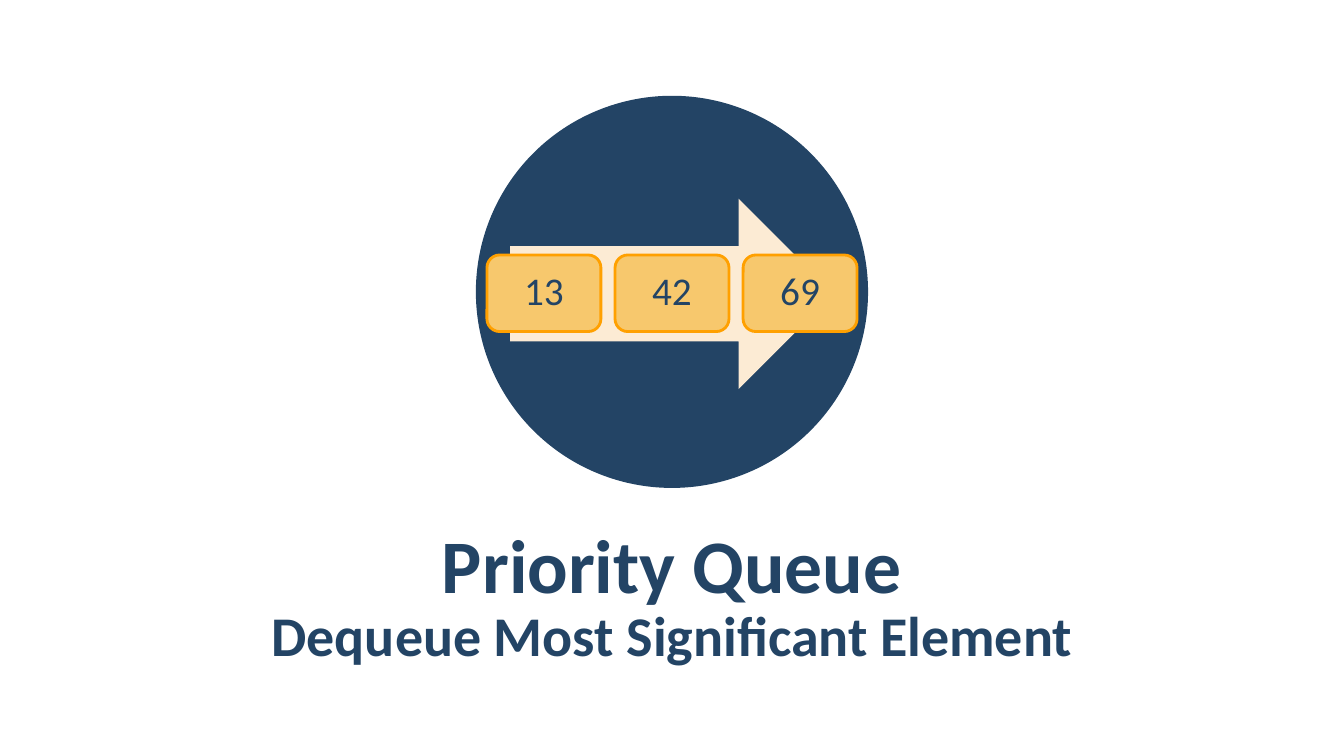
import pptx
import pptx.util
import pptx.dml.color
import pptx.enum.shapes
import pptx.enum.text

NAVY = pptx.dml.color.RGBColor(0x23, 0x44, 0x65)
CREAM = pptx.dml.color.RGBColor(0xFC, 0xEB, 0xD4)
AMBER = pptx.dml.color.RGBColor(0xF7, 0xC8, 0x6D)
ORANGE = pptx.dml.color.RGBColor(0xFF, 0xA0, 0x00)

SLIDE_WIDTH = pptx.util.Inches(13.33)
SLIDE_HEIGHT = pptx.util.Inches(7.5)
SHAPES = pptx.enum.shapes.MSO_SHAPE

HEADING_FORMAT = {
    "line_spacing": 1.05,
    "space_before": pptx.util.Pt(6),
    "space_after": pptx.util.Pt(6),
}
ELEMENT_FORMAT = {"line_spacing": 0.9}


def place(left, top, width, height):
    """Turn percentages of the slide's size into lengths."""
    return (
        int(SLIDE_WIDTH * left / 100),
        int(SLIDE_HEIGHT * top / 100),
        int(SLIDE_WIDTH * width / 100),
        int(SLIDE_HEIGHT * height / 100),
    )


def add_filled_shape(slide, kind, area, fill, outline=None):
    shape = slide.shapes.add_shape(kind, *place(*area))
    shape.shadow.inherit = False
    shape.fill.solid()
    shape.fill.fore_color.rgb = fill
    if outline is None:
        shape.line.fill.background()
    else:
        shape.line.color.rgb = outline
        shape.line.width = pptx.util.Pt(2)
    return shape


def write_text(shape, text, size, paragraph_format, vertical_margin, bold=False):
    frame = shape.text_frame
    frame_format = {
        "word_wrap": True,
        "vertical_anchor": pptx.enum.text.MSO_ANCHOR.MIDDLE,
        "margin_left": pptx.util.Inches(0.12),
        "margin_right": pptx.util.Inches(0.12),
        "margin_top": pptx.util.Inches(vertical_margin),
        "margin_bottom": pptx.util.Inches(vertical_margin),
    }
    paragraph = frame.paragraphs[0]
    paragraph.alignment = pptx.enum.text.PP_ALIGN.CENTER
    run = paragraph.add_run()
    run.text = text
    run.font.color.rgb = NAVY
    font_format = {"name": "Calibri", "size": pptx.util.Pt(size), "bold": bold}
    for target, values in (
        (frame, frame_format),
        (paragraph, paragraph_format),
        (run.font, font_format),
    ):
        for name, value in values.items():
            setattr(target, name, value)


def add_heading(slide, text, top, height, size):
    box = slide.shapes.add_textbox(*place(5.03, top, 89.94, height))
    write_text(box, text, size, HEADING_FORMAT, 0.04, bold=True)


def add_queue(slide, values):
    """Lay the queue's elements out at an equal pitch."""
    first_left, pitch = 36.23, 9.53
    for index, value in enumerate(values):
        area = (first_left + index * pitch, 33.73, 8.48, 10.13)
        element = add_filled_shape(slide, SHAPES.ROUNDED_RECTANGLE, area, AMBER, ORANGE)
        write_text(element, value, 28, ELEMENT_FORMAT, 0.12)


def main():
    presentation = pptx.Presentation()
    presentation.slide_width = SLIDE_WIDTH
    presentation.slide_height = SLIDE_HEIGHT
    slide = presentation.slides.add_slide(presentation.slide_layouts[6])

    # Emblem: disc, direction arrow and queue elements
    add_filled_shape(slide, SHAPES.OVAL, (35.41, 12.67, 29.18, 51.87), NAVY)
    add_filled_shape(slide, SHAPES.RIGHT_ARROW, (37.96, 26.27, 24.08, 25.2), CREAM)
    add_queue(slide, ["13", "42", "69"])

    # Title and subtitle
    add_heading(slide, "Priority Queue", top=68.67, height=11.2, size=54)
    add_heading(slide, "Dequeue Most Significant Element", top=80, height=7.33, size=40)

    presentation.save("out.pptx")


main()
